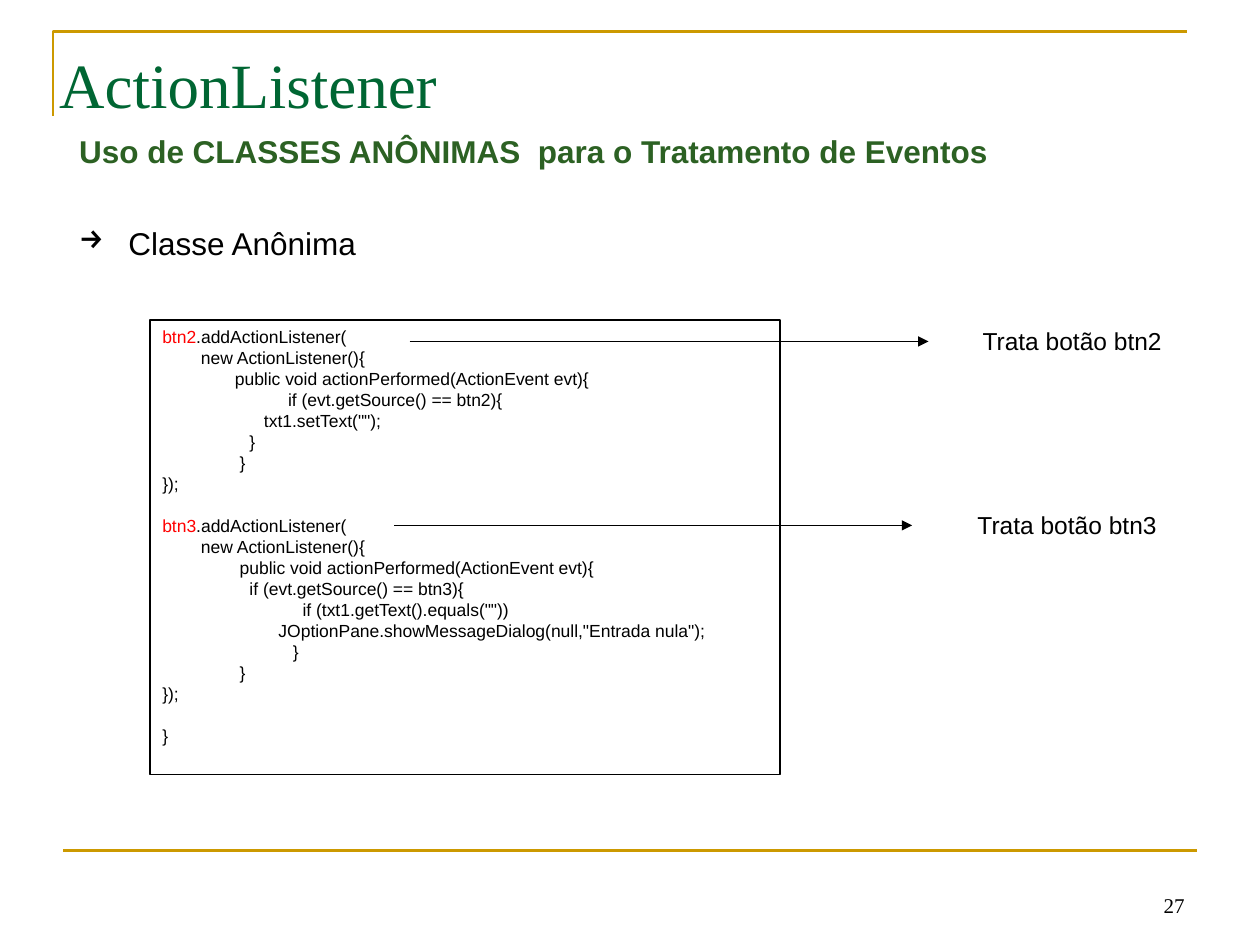
import pptx
import pptx.dml.color
import pptx.enum.shapes
import pptx.enum.text
import pptx.oxml.ns
import pptx.util
from lxml import etree
from pptx.util import Inches, Pt

GOLD, BLACK, RED, GREEN, MOSS = "CC9900", "000000", "FF0000", "006633", "2C6123"
ALIGN = pptx.enum.text.PP_ALIGN
ANCHOR = pptx.enum.text.MSO_ANCHOR

TITLE = "ActionListener"
SUBTITLE = "Uso de CLASSES ANÔNIMAS  para o Tratamento de Eventos"
TOPIC = "Classe Anônima"
PAGE_NUMBER = "27"

CODE = """\
btn2.addActionListener(
        new ActionListener(){
               public void actionPerformed(ActionEvent evt){
                          if (evt.getSource() == btn2){
\t        txt1.setText("");
\t     }
                }
});

btn3.addActionListener(
        new ActionListener(){
                public void actionPerformed(ActionEvent evt){
\t     if (evt.getSource() == btn3){
                             if (txt1.getText().equals(""))
\t           JOptionPane.showMessageDialog(null,"Entrada nula");
                           }
                }
});

}"""
BUTTONS = ("btn2", "btn3")

# label, label left, label top, arrow start, arrow end, arrow height
CALLOUTS = [
    ("Trata botão btn2", 7.7, 2.54, 3.25, 7.37, 2.71),
    ("Trata botão btn3", 7.66, 4, 3.13, 7.24, 4.17),
]


def color(value):
    return pptx.dml.color.RGBColor.from_string(value)


def add_element(parent, tag, **attributes):
    return etree.SubElement(parent, pptx.oxml.ns.qn(tag), **attributes)


def set_line(shape, value, width):
    shape.line.color.rgb = color(value)
    shape.line.width = Pt(width)


def add_span(para, text, size, value, font="Arial", bold=False):
    span = para.add_run()
    span.text = text
    span.font.name = font
    span.font.size = Pt(size)
    span.font.bold = bold
    span.font.color.rgb = color(value)


def add_text(page, area, text, size, value=BLACK, font="Arial", bold=False):
    box = page.shapes.add_textbox(*map(Inches, area))
    box.text_frame.word_wrap = False
    add_span(box.text_frame.paragraphs[0], text, size, value, font, bold)
    return box


def add_line(page, start, end, value, width, arrow=False):
    line = page.shapes.add_connector(
        pptx.enum.shapes.MSO_CONNECTOR.STRAIGHT, *map(Inches, start + end))
    set_line(line, value, width)
    if arrow:
        add_element(line.line._get_or_add_ln(), "a:tailEnd", type="triangle")
    add_element(line._element.spPr, "a:effectLst")


def add_frame(page):
    builder = page.shapes.build_freeform(Inches(0.42), Inches(0.92))
    builder.add_line_segments(
        [(Inches(0.42), Inches(0.25)), (Inches(9.42), Inches(0.25))], close=False)
    corner = builder.convert_to_shape()
    corner.shadow.inherit = False
    corner.fill.background()
    set_line(corner, GOLD, 1.5)
    add_line(page, (0.5, 6.75), (9.5, 6.75), GOLD, 1.5)

    number = add_text(page, (7.17, 6.83, 2.33, 0.5), PAGE_NUMBER, 12,
                      font="Times New Roman")
    number.text_frame.word_wrap = True
    number.text_frame.vertical_anchor = ANCHOR.BOTTOM
    number.text_frame.paragraphs[0].alignment = ALIGN.RIGHT


def format_title(page):
    title = page.shapes.title
    title.left, title.top, title.width, title.height = map(
        Inches, (0.37, 0.25, 3.74, 0.65))
    frame = title.text_frame
    frame.auto_size = pptx.enum.text.MSO_AUTO_SIZE.NONE
    frame.vertical_anchor = ANCHOR.TOP
    frame.margin_top = Inches(0.11)
    frame.paragraphs[0].alignment = ALIGN.LEFT
    add_span(frame.paragraphs[0], TITLE, 36, GREEN, "Times New Roman")


def add_topic(page):
    topic = add_text(page, (0.53, 1.73, 2.41, 0.4), TOPIC, 18)
    properties = topic.text_frame.paragraphs[0]._p.get_or_add_pPr()
    indent = Inches(0.39)
    properties.set("marL", str(indent))
    properties.set("indent", str(-indent))
    add_element(properties, "a:buChar", char="→")


def add_code(page):
    box = page.shapes.add_shape(
        pptx.enum.shapes.MSO_SHAPE.RECTANGLE,
        *map(Inches, (1.19, 2.54, 5, 3.61)))
    box.shadow.inherit = False
    box.fill.background()
    set_line(box, BLACK, 0.75)
    frame = box.text_frame
    frame.word_wrap = False
    frame.vertical_anchor = ANCHOR.TOP
    for index, line in enumerate(CODE.split("\n")):
        para = frame.add_paragraph() if index else frame.paragraphs[0]
        para.alignment = ALIGN.LEFT
        para.line_spacing = Pt(12)
        para.font.size = Pt(10)
        if line.startswith(BUTTONS):
            button, line = line[:4], line[4:]
            add_span(para, button, 10, RED)
        if line:
            add_span(para, line, 10, BLACK)


def main():
    deck = pptx.Presentation()
    deck.slide_width, deck.slide_height = Inches(10), Inches(7.5)
    page = deck.slides.add_slide(deck.slide_layouts[5])
    add_frame(page)
    format_title(page)
    add_text(page, (0.53, 1, 7.44, 0.4), SUBTITLE, 18, MOSS, bold=True)
    add_topic(page)
    add_code(page)
    for label, left, top, start, end, height in CALLOUTS:
        add_line(page, (start, height), (end, height), BLACK, 0.75, arrow=True)
        add_text(page, (left, top, 1.63, 0.34), label, 14)
    deck.save("out.pptx")


if __name__ == "__main__":
    main()
